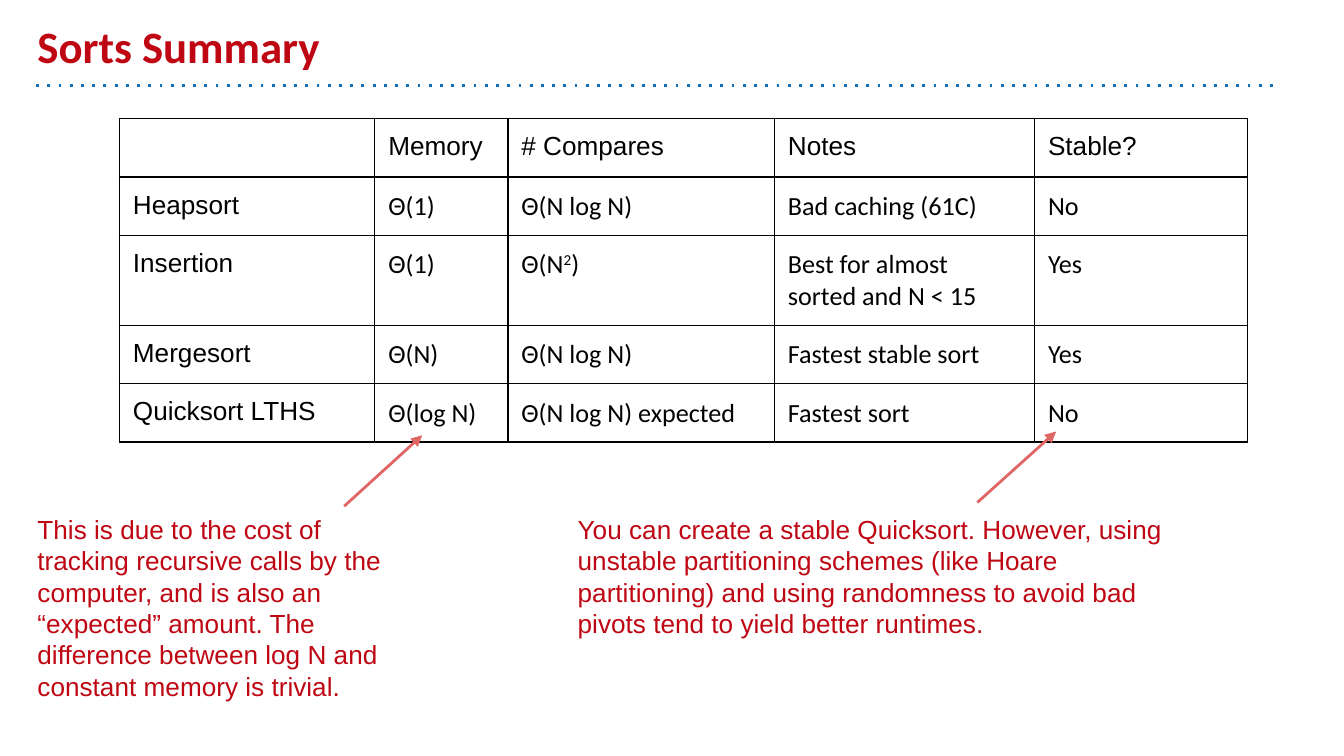
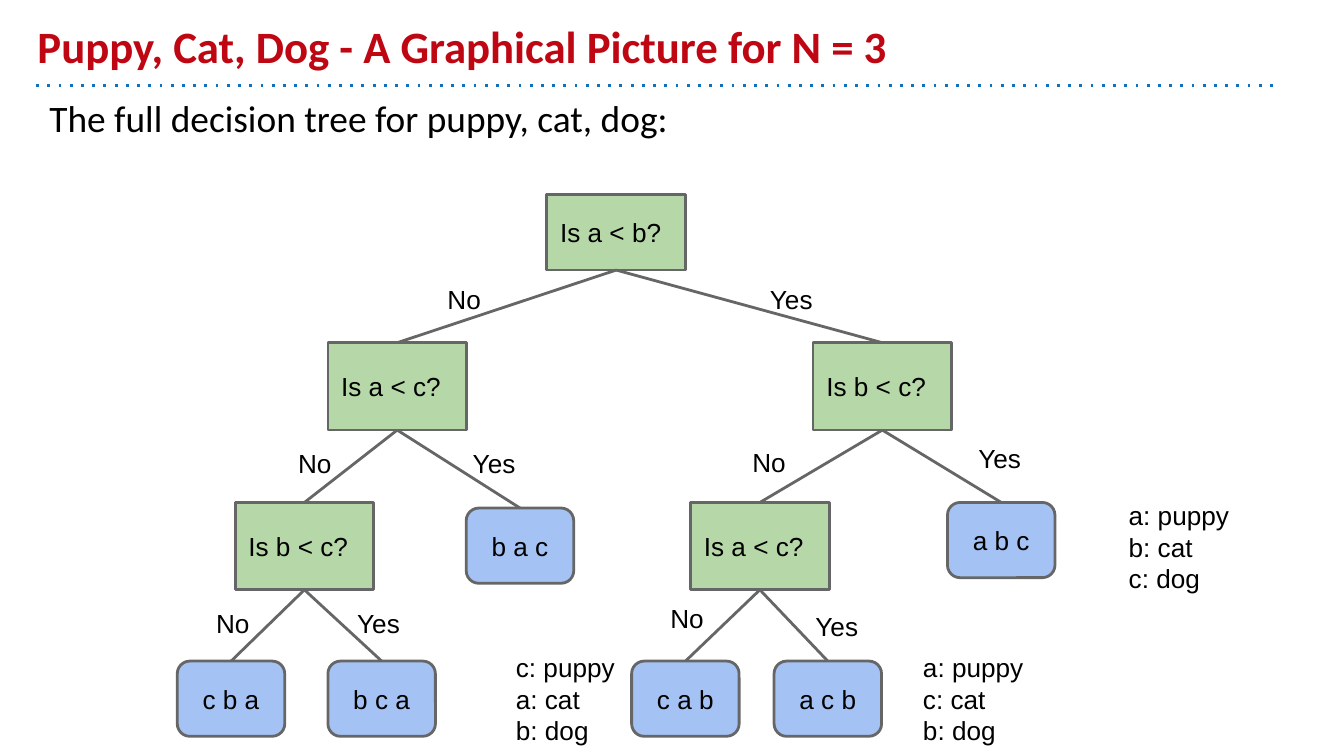
"""Build two slides on sorting: a summary table and a decision tree."""
from lxml.etree import SubElement
from pptx import Presentation
from pptx.dml.color import RGBColor
from pptx.enum.shapes import MSO_CONNECTOR, MSO_SHAPE
from pptx.enum.text import MSO_ANCHOR, PP_ALIGN
from pptx.oxml.ns import qn
from pptx.util import Pt

COLORS = {
    "black": "000000",
    "title": "BE0712",
    "rule": "1072BD",
    "arrow": "E06666",
    "edge": "666666",
    "question": "B6D7A8",
    "answer": "A4C2F4",
}
INSET = 7.2
TOP, BOTTOM = 0, 2

SORTS = [
    ["", "Memory", "# Compares", "Notes", "Stable?"],
    ["Heapsort", "Θ(1)", "Θ(N log N)", "Bad caching (61C)", "No"],
    ["Insertion", "Θ(1)", "Θ(N^2^)", "Best for almost sorted and N < 15", "Yes"],
    ["Mergesort", "Θ(N)", "Θ(N log N)", "Fastest stable sort", "Yes"],
    ["Quicksort LTHS", "Θ(log N)", "Θ(N log N) expected", "Fastest sort", "No"],
]
COL_WIDTHS = [136.8, 71.3, 142.8, 139.4, 114]
ROW_HEIGHTS = [31.4, 31.4, 30.5, 31.4, 30.5]

QUESTIONS = {
    "root": ("Is a < b?", 293, 104.4, 40.3),
    "left": ("Is a < c?", 175.7, 183.6, 46.8),
    "right": ("Is b < c?", 435.6, 183.6, 46.8),
    "left-no": ("Is b < c?", 126, 269.2, 46.8),
    "right-no": ("Is a < c?", 370, 269.2, 46.8),
}
ANSWERS = {
    "b a c": (249.8, 272.2),
    "a b c": (507.6, 269.2),
    "c b a": (95, 354.2),
    "b c a": (175.7, 354.2),
    "c a b": (338.4, 354.2),
    "a c b": (414.7, 354.2),
}
BRANCHES = [
    ("root", "left", "No", (232.6, 144.7, 48.2, 14.4)),
    ("root", "right", "Yes", (405.4, 144.7, 48.2, 14.4)),
    ("left", "left-no", "No", (152.6, 232.6, 38.9, 21.6)),
    ("left", "b a c", "Yes", (246.2, 232.6, 38.9, 21.6)),
    ("right", "right-no", "No", (396, 231.8, 48.2, 14.4)),
    ("right", "a b c", "Yes", (517, 229.7, 81.4, 19.4)),
    ("left-no", "c b a", "No", (108.7, 318.2, 38.9, 21.6)),
    ("left-no", "b c a", "Yes", (184.3, 318.2, 38.9, 21.6)),
    ("right-no", "c a b", "No", (352, 315.4, 49.7, 18.7)),
    ("right-no", "a c b", "Yes", (429.8, 319.7, 57.6, 15.8)),
]
LEGENDS = [
    ("a: puppy\nb: cat\nc: dog", 597.6, 260.6),
    ("a: puppy\nc: cat\nb: dog", 487.4, 342),
    ("c: puppy\na: cat\nb: dog", 269.3, 342),
]


def rgb(name):
    return RGBColor.from_string(COLORS[name])


def write(tf, text, size=14, font="Arial", color="black", bold=False,
          align=PP_ALIGN.LEFT, before=0):
    for i, line in enumerate(text.split("\n")):
        p = tf.add_paragraph() if i else tf.paragraphs[0]
        p.alignment = align
        p.space_before = Pt(before)
        if not line:
            SubElement(p._p, qn("a:endParaRPr"), sz=str(size * 100))
            continue
        for j, part in enumerate(line.split("^")):
            r = p.add_run()
            r.text = part
            r.font.size = Pt(size)
            r.font.name = font
            r.font.bold = bold
            r.font.color.rgb = rgb(color)
            if j % 2:
                r.font._element.set("baseline", "30000")


class Deck:
    def __init__(self):
        self.prs = Presentation()
        self.prs.slide_width, self.prs.slide_height = Pt(720), Pt(405)
        self.s = None

    def slide(self, title):
        self.s = self.prs.slides.add_slide(self.prs.slide_layouts[6])
        self.line((19.4, 46), (684, 46), "rule", dash="dot")
        self.text(title, 13, 7.2, 648, 38.9, anchor=MSO_ANCHOR.BOTTOM,
                  size=24, font="Calibri", color="title", bold=True)

    def frame(self, tf, anchor):
        tf.word_wrap = True
        tf.vertical_anchor = anchor
        tf.margin_left = tf.margin_right = Pt(INSET)
        tf.margin_top = tf.margin_bottom = Pt(INSET)

    def text(self, text, x, y, w, h, anchor=MSO_ANCHOR.TOP, **fmt):
        sp = self.s.shapes.add_textbox(Pt(x), Pt(y), Pt(w), Pt(h))
        self.frame(sp.text_frame, anchor)
        write(sp.text_frame, text, **fmt)

    def box(self, text, x, y, w, h, fill, kind=MSO_SHAPE.RECTANGLE, **fmt):
        sp = self.s.shapes.add_shape(kind, Pt(x), Pt(y), Pt(w), Pt(h))
        sp.shadow.inherit = False
        sp.fill.solid()
        sp.fill.fore_color.rgb = rgb(fill)
        sp.line.color.rgb = rgb("edge")
        sp.line.width = Pt(1.5)
        self.frame(sp.text_frame, MSO_ANCHOR.MIDDLE)
        write(sp.text_frame, text, **fmt)
        return sp

    def line(self, start, end, color, dash=None, arrow=False):
        points = [Pt(v) for v in (*start, *end)]
        cn = self.s.shapes.add_connector(MSO_CONNECTOR.STRAIGHT, *points)
        cn.line.color.rgb = rgb(color)
        cn.line.width = Pt(1.5)
        ln = cn.line._get_or_add_ln()
        if dash:
            SubElement(ln, qn("a:prstDash"), val=dash)
        if arrow:
            SubElement(ln, qn("a:tailEnd"), type="triangle")
        SubElement(cn._element.spPr, qn("a:effectLst"))
        return cn

    def branch(self, parent, child):
        cn = self.line((0, 0), (0, 0), "edge")
        cn.begin_connect(parent, BOTTOM)
        cn.end_connect(child, TOP)

    def table(self, rows, x, y, widths, heights):
        tbl = self.s.shapes.add_table(len(rows), len(widths), Pt(x), Pt(y),
                                      Pt(sum(widths)), Pt(sum(heights))).table
        tbl.first_row = tbl.horz_banding = False
        for col, w in zip(tbl.columns, widths):
            col.width = Pt(w)
        for i, (row, h) in enumerate(zip(rows, heights)):
            tbl.rows[i].height = Pt(h)
            for j, text in enumerate(row):
                self.cell(tbl.cell(i, j), text, "Calibri" if i and j else "Arial")

    def cell(self, cell, text, font):
        cell.margin_left = cell.margin_right = Pt(INSET)
        cell.margin_top = cell.margin_bottom = Pt(INSET)
        write(cell.text_frame, text, font=font)
        pr = cell._tc.get_or_add_tcPr()
        for side in ("lnL", "lnR", "lnT", "lnB"):
            ln = SubElement(pr, qn(f"a:{side}"), w=str(Pt(0.75)))
            fill = SubElement(ln, qn("a:solidFill"))
            SubElement(fill, qn("a:srgbClr"), val=COLORS["black"])
        cell.fill.background()


def sorts_slide(deck):
    deck.slide("Sorts Summary")
    deck.table(SORTS, 64, 63.4, COL_WIDTHS, ROW_HEIGHTS)
    deck.line((523.6, 269.2), (565.8, 231.2), "arrow", arrow=True)
    deck.text("You can create a stable Quicksort. However, using unstable "
              "partitioning schemes (like Hoare partitioning) and using "
              "randomness to avoid bad pivots tend to yield better runtimes.",
              302.4, 267.8, 337, 98.6, color="title")
    deck.line((184.4, 271.2), (226.2, 233.2), "arrow", arrow=True)
    deck.text("This is due to the cost of tracking recursive calls by the "
              "computer, and is also an “expected” amount. The difference "
              "between log N and constant memory is trivial.",
              13, 267.8, 213, 109.4, color="title")


def tree_slide(deck):
    deck.slide("Puppy, Cat, Dog - A Graphical Picture for N = 3")
    deck.text("The full decision tree for puppy, cat, dog:",
              19.4, 44, 664.6, 66.2, size=20, font="Calibri", before=6)
    nodes = {key: deck.box(text, x, y, 74.2, h, "question")
             for key, (text, x, y, h) in QUESTIONS.items()}
    for text, (x, y) in ANSWERS.items():
        nodes[text] = deck.box(text, x, y, 57.6, 40.3, "answer",
                               MSO_SHAPE.ROUNDED_RECTANGLE, align=PP_ALIGN.CENTER)
    for parent, child, label, place in BRANCHES:
        deck.branch(nodes[parent], nodes[child])
        deck.text(label, *place)
    for text, x, y in LEGENDS:
        deck.text(text, x, y, 69.1, 40.3)


def main():
    deck = Deck()
    sorts_slide(deck)
    tree_slide(deck)
    deck.prs.save("out.pptx")


if __name__ == "__main__":
    main()
